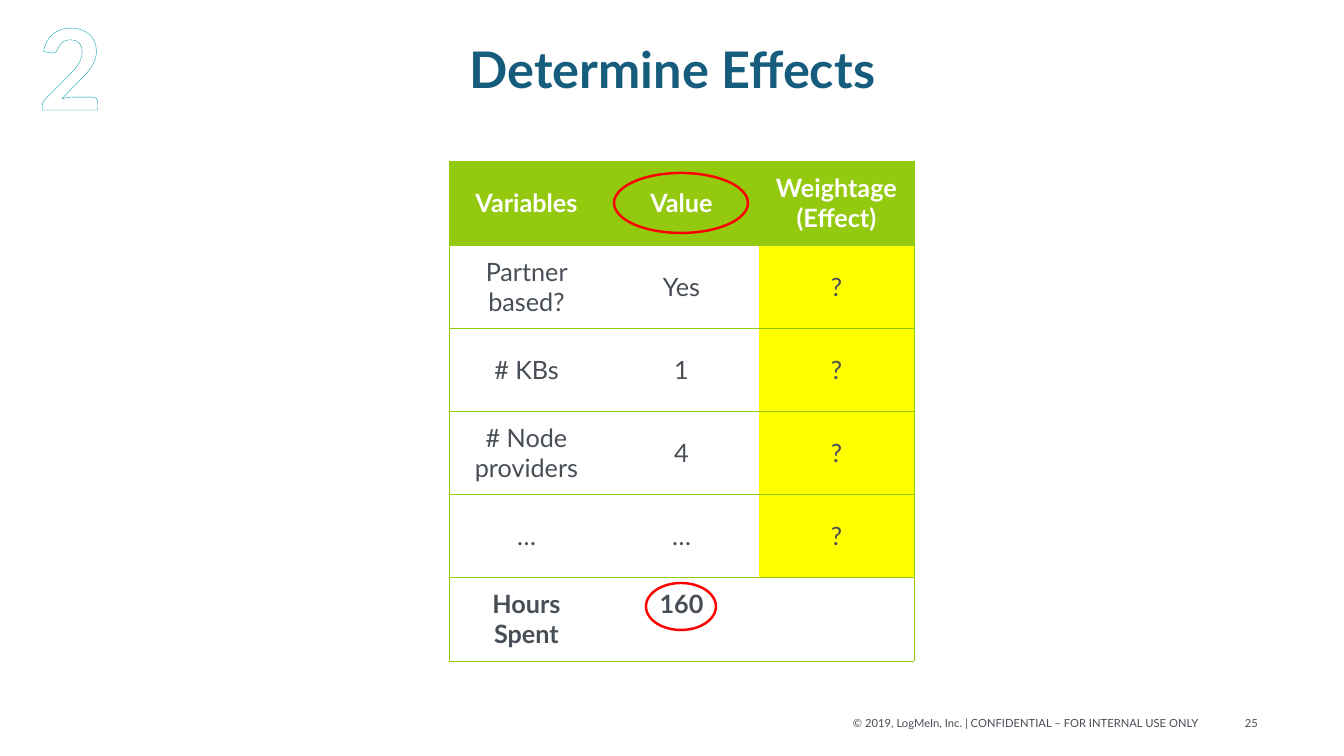
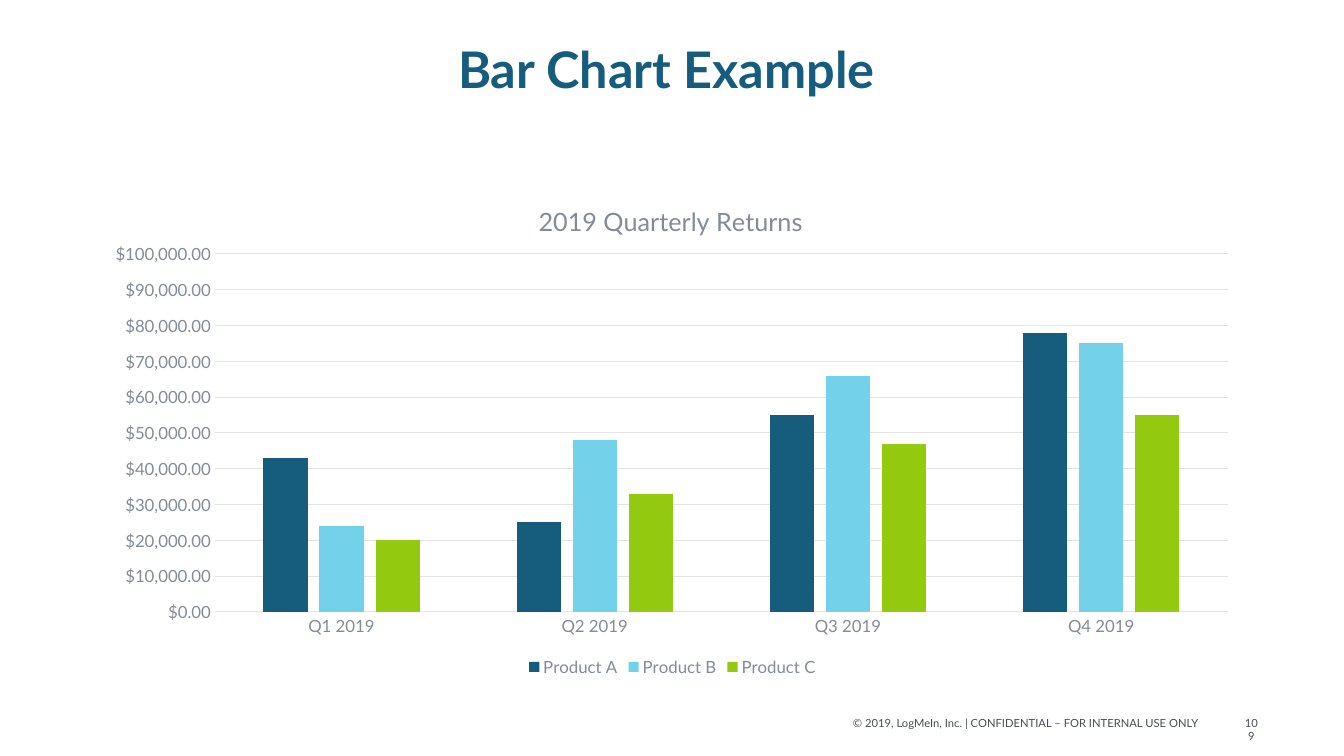
"""Build the effects table slide and the quarterly bar chart slide."""
from lxml import etree
from pptx import Presentation
from pptx import util as u
from pptx.chart import data
from pptx.dml.color import RGBColor
from pptx.enum import chart as ch, shapes, text
from pptx.oxml import ns

SCALE = 914400 / 100.8
FONT = "Lato"
COLORS = {"navy": "165C7D", "sky": "74D1EA", "green": "93C90E", "yellow": "FFFF00", "red": "FF0000",
          "ink": "484E55", "muted": "838C96", "rule": "E2E4E7", "teal": "009CA5", "leaf": "00B050",
          "white": "FFFFFF"}
RGB = {name: RGBColor.from_string(value) for name, value in COLORS.items()}
COPYRIGHT = "© 2019, LogMeIn, Inc. | CONFIDENTIAL – FOR INTERNAL USE ONLY"


def px(*lengths):
    return [u.Emu(round(length * SCALE)) for length in lengths]


def write(frame, words, size, color, bold=False, align=text.PP_ALIGN.CENTER):
    frame.text = words
    frame.word_wrap = True
    for paragraph in frame.paragraphs:
        paragraph.alignment = align
        for run in paragraph.runs:
            for key, value in {"name": FONT, "size": u.Pt(size), "bold": bold}.items():
                setattr(run.font, key, value)
            run.font.color.rgb = RGB[color]


deck = Presentation()
deck.slide_width, deck.slide_height = px(1344, 756)
pages = []
for heading, number in [("Determine Effects", "25"), ("Bar Chart Example ", "109")]:
    page = deck.slides.add_slide(deck.slide_layouts[5])
    title = page.shapes.title
    title.left, title.top, title.width, title.height = px(93, 40, 1159, 130)
    write(title.text_frame, heading, 36, "navy", True)
    title.text_frame.vertical_anchor = text.MSO_ANCHOR.TOP
    title.text_frame.auto_size = text.MSO_AUTO_SIZE.NONE
    title.text_frame.paragraphs[0].line_spacing = 0.9

    notice = page.shapes.add_textbox(*px(802, 711, 407, 24)).text_frame
    write(notice, COPYRIGHT, 8, "ink", align=text.PP_ALIGN.RIGHT)
    page_number = page.shapes.add_textbox(*px(1235, 711, 33, 24)).text_frame
    page_number.margin_left, page_number.margin_right = px(9, 9)
    write(page_number, number, 8, "ink")
    pages.append(page)
effects, returns = pages

ROWS = [("Variables", "Value", "Weightage\n(Effect)"),
        ("Partner based?", "Yes", "?"),
        ("# KBs", "1", "?"),
        ("# Node providers", "4", "?"),
        ("…", "…", "?"),
        ("Hours Spent", "160", "")]
last_row, last_column = len(ROWS) - 1, len(ROWS[0]) - 1
frame = effects.shapes.add_table(len(ROWS), len(ROWS[0]), *px(449, 161, 465, 500))
variables = frame.table
variables.horz_banding = False
variables._tbl.tblPr.find(ns.qn("a:tableStyleId")).text = "{2D5ABB26-0587-4C30-8999-92F81FD0307C}"
for column in variables.columns:
    column.width = px(155)[0]
for r, row in enumerate(ROWS):
    variables.rows[r].height = px(84 if r in (0, last_row) else 83)[0]
    for c, words in enumerate(row):
        cell = variables.cell(r, c)
        write(cell.text_frame, words, 18, "ink" if r else "white", r in (0, last_row))
        cell.vertical_anchor = text.MSO_ANCHOR.MIDDLE
        fill = "green" if r == 0 else "yellow" if c == last_column and r < last_row else None
        if fill:
            cell.fill.solid()
            cell.fill.fore_color.rgb = RGB[fill]
        else:
            cell.fill.background()
        sides = {"lnL": c == 0, "lnR": c == last_column, "lnT": True, "lnB": True}
        for position, (side, drawn) in enumerate(sides.items()):
            border = etree.Element(ns.qn(f"a:{side}"), w="6350")
            paint = etree.SubElement(border, ns.qn("a:solidFill" if drawn else "a:noFill"))
            if drawn:
                etree.SubElement(paint, ns.qn("a:srgbClr"), val=COLORS["green"])
            cell._tc.get_or_add_tcPr().insert(position, border)
variables.cell(last_row, 1).margin_bottom = px(35)[0]

for box in [(646, 583, 70, 47), (614, 173, 134, 60)]:
    ring = effects.shapes.add_shape(shapes.MSO_SHAPE.OVAL, *px(*box))
    ring.shadow.inherit = False
    ring.fill.background()
    ring.line.color.rgb = RGB["red"]
    ring.line.width = u.Pt(1.75)

step = effects.shapes.add_textbox(*px(28, -7, 84, 146)).text_frame
write(step, "2", 80, "leaf", True)
digit = step.paragraphs[0].runs[0]
digit.font.fill.patterned()
digit.font.fill.pattern = 21
for key, color in {"fore_color": "leaf", "back_color": "white"}.items():
    getattr(digit.font.fill, key).rgb = RGB[color]
outline = etree.Element(ns.qn("a:ln"), w="12700")
stroke = etree.SubElement(outline, ns.qn("a:solidFill"))
etree.SubElement(stroke, ns.qn("a:srgbClr"), val=COLORS["teal"])
digit.font._element.insert(0, outline)

PRODUCTS = {"Product A": ("navy", (43000, 25000, 55000, 78000)),
            "Product B": ("sky", (24000, 48000, 66000, 75000)),
            "Product C": ("green", (20000, 33000, 47000, 55000))}
quarters = data.CategoryChartData(number_format='"$"#,##0.00')
quarters.categories = [f"Q{n} 2019" for n in range(1, 5)]
for product, (color, values) in PRODUCTS.items():
    quarters.add_series(product, values)
LEFT, TOP, WIDTH, HEIGHT = 93, 176, 1159, 505
chart = returns.shapes.add_chart(ch.XL_CHART_TYPE.COLUMN_CLUSTERED, *px(LEFT, TOP, WIDTH, HEIGHT),
                                 quarters).chart
for key, value in {"name": FONT, "size": u.Pt(12)}.items():
    setattr(chart.font, key, value)
chart.font.color.rgb = RGB["muted"]
chart.has_title = True
write(chart.chart_title.text_frame, "2019 Quarterly Returns", 18, "muted")
chart.has_legend = True
chart.legend.position = ch.XL_LEGEND_POSITION.BOTTOM
chart.legend.include_in_layout = False

bars = chart.plots[0]
for key, value in {"gap_width": 219, "overlap": -27, "vary_by_categories": False}.items():
    setattr(bars, key, value)
for series, (color, values) in zip(bars.series, PRODUCTS.values()):
    series.format.fill.solid()
    series.format.fill.fore_color.rgb = RGB[color]

amounts, periods = chart.value_axis, chart.category_axis
for axis in (amounts, periods):
    axis.major_tick_mark = axis.minor_tick_mark = ch.XL_TICK_MARK.NONE
for key, value in {"minimum_scale": 0, "maximum_scale": 100000, "major_unit": 10000}.items():
    setattr(amounts, key, value)
amounts.tick_labels.number_format = '"$"#,##0.00'
amounts.tick_labels.number_format_is_linked = False
amounts.format.line.fill.background()
for rule in (amounts.major_gridlines.format.line, periods.format.line):
    rule.color.rgb = RGB["rule"]
    rule.width = u.Pt(0.75)

plot_area = chart.element.find(".//" + ns.qn("c:plotArea"))
plot_place = {"layoutTarget": "inner", "xMode": "edge", "yMode": "edge", "x": (215 - LEFT) / WIDTH,
              "y": (254 - TOP) / HEIGHT, "w": 1013 / WIDTH, "h": 358 / HEIGHT}
title_place = {"xMode": "edge", "yMode": "edge", "x": (534 - LEFT) / WIDTH, "y": (199 - TOP) / HEIGHT}
for part, index, place in [(plot_area, 0, plot_place), (chart.chart_title.element, 1, title_place)]:
    for automatic in part.findall(ns.qn("c:layout")):
        part.remove(automatic)
    layout = etree.Element(ns.qn("c:layout"))
    manual = etree.SubElement(layout, ns.qn("c:manualLayout"))
    for key, value in place.items():
        etree.SubElement(manual, ns.qn(f"c:{key}"), val=str(value))
    part.insert(index, layout)

deck.save("out.pptx")
